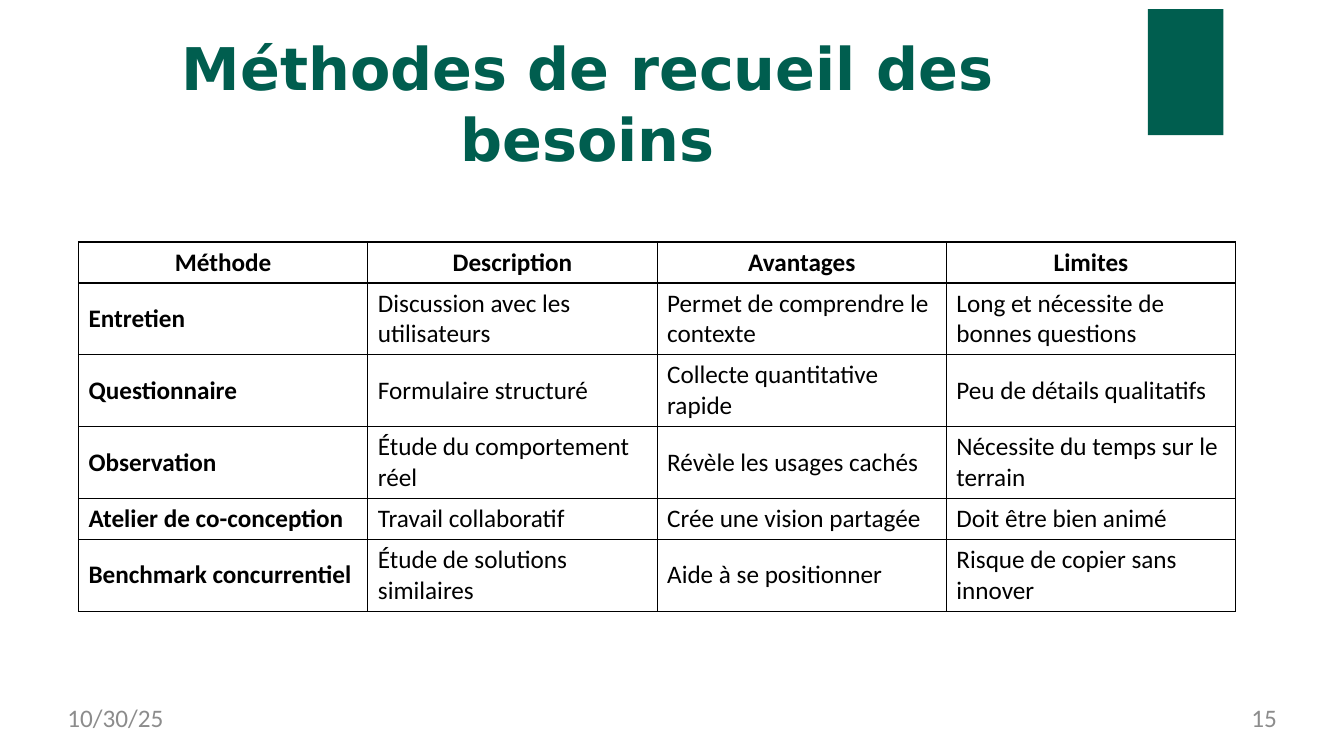
from pptx import Presentation, util as u
from pptx.dml.color import RGBColor
from pptx.enum import shapes, text
from pptx.oxml import parse_xml
from pptx.oxml.ns import nsdecls

LEFT, CENTER, RIGHT = text.PP_ALIGN.LEFT, text.PP_ALIGN.CENTER, text.PP_ALIGN.RIGHT

METHODS = [
    ["Méthode", "Description", "Avantages", "Limites"],
    ["Entretien", "Discussion avec les utilisateurs",
     "Permet de comprendre le contexte", "Long et nécessite de bonnes questions"],
    ["Questionnaire", "Formulaire structuré",
     "Collecte quantitative rapide", "Peu de détails qualitatifs"],
    ["Observation", "Étude du comportement réel",
     "Révèle les usages cachés", "Nécessite du temps sur le terrain"],
    ["Atelier de co-conception", "Travail collaboratif",
     "Crée une vision partagée", "Doit être bien animé"],
    ["Benchmark concurrentiel", "Étude de solutions similaires",
     "Aide à se positionner", "Risque de copier sans innover"],
]
ROW_HEIGHTS = [1.03, 1.81, 1.81, 1.81, 1.03, 1.81]


def color(value):
    return RGBColor.from_string(value)


class Page:
    green, grey, black = "005E4F", "8C8C8C", "000000"
    heading_font, body_font = "DejaVu Sans", "Calibri"
    body_size = 18

    def __init__(self, deck):
        self.slide = deck.slides.add_slide(deck.slide_layouts[5])

    def set_wording(self, frame, wording, font, size, ink, bold=False, align=LEFT):
        frame.text = wording
        frame.word_wrap = True
        paragraph = frame.paragraphs[0]
        paragraph.alignment = align
        style = paragraph.runs[0].font
        style.name, style.size, style.bold = font, u.Pt(size), bold
        style.color.rgb = color(ink)

    def clear_margins(self, frame):
        frame.margin_left = frame.margin_right = 0
        frame.margin_top = frame.margin_bottom = 0
        frame.vertical_anchor = text.MSO_ANCHOR.TOP
        frame.auto_size = text.MSO_AUTO_SIZE.NONE

    def title(self, wording, left, top, width, height):
        heading = self.slide.shapes.title
        heading.left, heading.top = u.Cm(left), u.Cm(top)
        heading.width, heading.height = u.Cm(width), u.Cm(height)
        self.clear_margins(heading.text_frame)
        self.set_wording(heading.text_frame, wording, self.heading_font, 42,
                         self.green, True, CENTER)

    def ribbon(self, left, top, width, height):
        block = self.slide.shapes.add_shape(
            shapes.MSO_SHAPE.RECTANGLE,
            u.Cm(left), u.Cm(top), u.Cm(width), u.Cm(height))
        block.shadow.inherit = False
        block.fill.solid()
        block.fill.fore_color.rgb = color(self.green)
        block.line.fill.background()

    def footer(self, wording, left, align):
        note = self.slide.shapes.add_textbox(
            u.Cm(left), u.Cm(17.7), u.Cm(7.8), u.Cm(0.97))
        self.clear_margins(note.text_frame)
        self.set_wording(note.text_frame, wording, self.body_font,
                         self.body_size, self.grey, align=align)

    def border(self, cell):
        properties = cell._tc.get_or_add_tcPr()
        for side in "LRTB":
            properties.append(parse_xml(
                f'<a:ln{side} {nsdecls("a")} w="{u.Pt(1)}"><a:solidFill>'
                f'<a:srgbClr val="{self.black}"/></a:solidFill></a:ln{side}>'))

    def table(self, rows, heights, left, top, width):
        grid = self.slide.shapes.add_table(
            len(rows), len(rows[0]), u.Cm(left), u.Cm(top),
            u.Cm(width), u.Cm(sum(heights))).table
        for r, (row, height) in enumerate(zip(rows, heights)):
            grid.rows[r].height = u.Cm(height)
            for c, wording in enumerate(row):
                cell = grid.cell(r, c)
                self.border(cell)
                cell.fill.background()
                cell.vertical_anchor = text.MSO_ANCHOR.MIDDLE
                self.set_wording(cell.text_frame, wording, self.body_font,
                                 self.body_size, self.black, r == 0 or c == 0,
                                 CENTER if r == 0 else LEFT)


def main():
    deck = Presentation()
    deck.slide_width, deck.slide_height = u.Cm(33.87), u.Cm(19.05)
    page = Page(deck)
    page.ribbon(28.93, 0.23, 1.9, 3.18)
    page.title("Méthodes de recueil des besoins", 1.68, 0.81, 26.26, 3.58)
    page.table(METHODS, ROW_HEIGHTS, 1.98, 6.1, 29.16)
    page.footer("10/30/25", 1.7, LEFT)
    page.footer("15", 24.38, RIGHT)
    deck.save("out.pptx")


if __name__ == "__main__":
    main()
